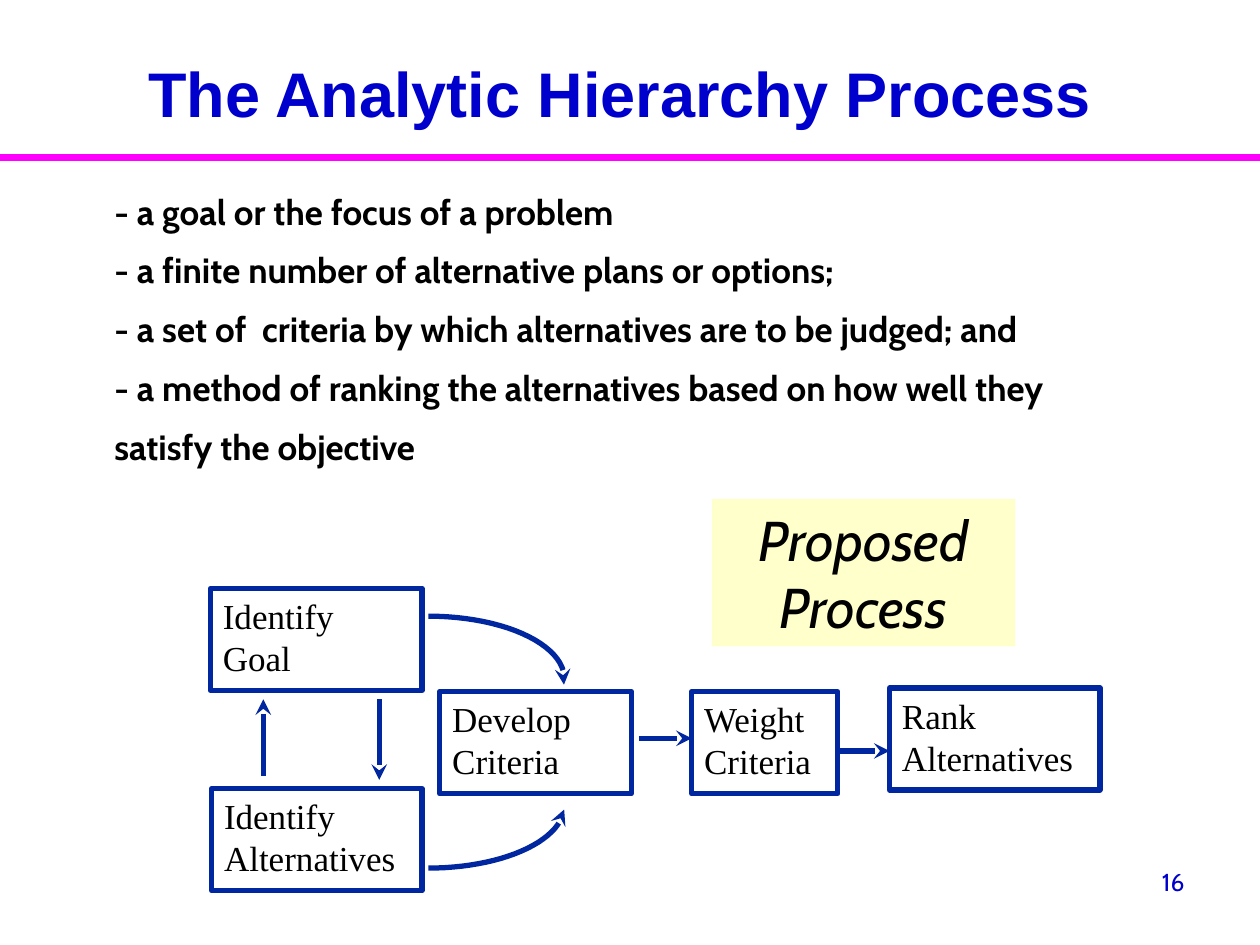
import math

from lxml import etree
from pptx import Presentation
from pptx.dml.color import RGBColor
from pptx.enum import shapes, text
from pptx.oxml.ns import qn
from pptx.util import Inches, Pt

BLUE = RGBColor(0x00, 0x00, 0xCC)
NAVY = RGBColor(0x00, 0x27, 0x9F)
MAGENTA = RGBColor(0xFF, 0x00, 0xFF)
CREAM = RGBColor(0xFF, 0xFF, 0xCC)
BLACK = RGBColor(0x00, 0x00, 0x00)

# Content
TITLE = "The Analytic Hierarchy Process"
ELEMENTS = [
    "- a goal or the focus of a problem",
    "- a finite number of alternative plans or options;",
    "- a set of  criteria by which alternatives are to be judged; and",
    "- a method of ranking the alternatives based on how well they satisfy the objective",
]
CALLOUT = "Proposed Process"
PAGE = "16"

# Process steps: lines, left, top, width
STEP_HEIGHT = 0.81
STEPS = [
    (["Identify", "Goal"], 1.67, 4.67, 1.68),
    (["Identify", "Alternatives"], 1.68, 6.26, 1.67),
    (["Develop", "Criteria"], 3.49, 5.49, 1.52),
    (["Weight", "Criteria"], 5.49, 5.49, 1.16),
    (["Rank", "Alternatives"], 7.06, 5.46, 1.67),
]
# Straight arrows: start x, start y, end x, end y
ARROWS = [
    (2.09, 6.16, 2.09, 5.55),
    (3.01, 5.55, 3.01, 6.19),
    (5.07, 5.86, 5.49, 5.86),
    (6.65, 5.96, 7.06, 5.96),
]
# Curved arrows: ellipse centre x, y, radius x, y, start and end angle in degrees
CURVES = [
    (3.4, 5.39, 1.08, 0.5, -90, 5),
    (3.4, 6.39, 1.08, 0.5, 90, 4),
]


def write(shape, lines, font, size, color, bold=False, italic=False,
          align=text.PP_ALIGN.LEFT, anchor=text.MSO_ANCHOR.TOP):
    frame = shape.text_frame
    frame.word_wrap = True
    frame.vertical_anchor = anchor
    frame.text = "\n".join(lines)
    for paragraph in frame.paragraphs:
        paragraph.alignment = align
        paragraph.font.name = font
        paragraph.font.size = Pt(size)
        paragraph.font.bold = bold
        paragraph.font.italic = italic
        paragraph.font.color.rgb = color
    return frame


def add_text(slide, box, *args, **style):
    return write(slide.shapes.add_textbox(*map(Inches, box)), *args, **style)


def add_box(slide, box):
    rectangle = slide.shapes.add_shape(shapes.MSO_SHAPE.RECTANGLE, *map(Inches, box))
    rectangle.shadow.inherit = False
    return rectangle


def draw_line(shape, color, width, arrow=False):
    shape.line.color.rgb = color
    shape.line.width = Pt(width)
    if arrow:
        etree.SubElement(shape.line._get_or_add_ln(), qn("a:tailEnd"), type="stealth")


def add_line(slide, ends, color, width, arrow=False):
    line = slide.shapes.add_connector(shapes.MSO_CONNECTOR.STRAIGHT, *map(Inches, ends))
    draw_line(line, color, width, arrow)
    etree.SubElement(line._element.spPr, qn("a:effectLst"))


def add_curve(slide, cx, cy, rx, ry, start, end, pieces=24):
    points = []
    for i in range(pieces + 1):
        angle = math.radians(start + (end - start) * i / pieces)
        points.append((Inches(cx + rx * math.cos(angle)), Inches(cy + ry * math.sin(angle))))
    builder = slide.shapes.build_freeform(*points[0])
    builder.add_line_segments(points[1:], close=False)
    curve = builder.convert_to_shape()
    curve.shadow.inherit = False
    curve.fill.background()
    draw_line(curve, NAVY, 3, arrow=True)


def main():
    deck = Presentation()
    deck.slide_width, deck.slide_height = Inches(10), Inches(7.5)
    slide = deck.slides.add_slide(deck.slide_layouts[6])

    # Heading, rule and page number
    add_line(slide, (0, 1.25, 10, 1.25), MAGENTA, 4)
    add_text(slide, (0.67, 0.25, 8.5, 0.83), [TITLE], "Arial", 36, BLUE, bold=True,
             align=text.PP_ALIGN.CENTER, anchor=text.MSO_ANCHOR.BOTTOM)
    add_text(slide, (7.17, 6.83, 2.33, 0.52), [PAGE], "Cabin", 14, BLUE,
             align=text.PP_ALIGN.RIGHT)

    # Elements of the method
    elements = add_text(slide, (0.81, 1.46, 8.23, 2.84), ELEMENTS, "Cabin", 20, BLACK, bold=True)
    for paragraph in elements.paragraphs[1:]:
        paragraph.line_spacing = 1.4

    # Process diagram
    for lines, left, top, width in STEPS:
        step = add_box(slide, (left, top, width, STEP_HEIGHT))
        step.fill.background()
        draw_line(step, NAVY, 3)
        write(step, lines, "Times New Roman", 20, BLACK)
    for ends in ARROWS:
        add_line(slide, ends, NAVY, 3, arrow=True)
    for curve in CURVES:
        add_curve(slide, *curve)

    # Callout
    callout = add_box(slide, (5.65, 3.96, 2.41, 1.17))
    callout.fill.solid()
    callout.fill.fore_color.rgb = CREAM
    callout.line.fill.background()
    write(callout, [CALLOUT], "Cabin", 32, BLACK, italic=True, align=text.PP_ALIGN.CENTER)

    deck.save("out.pptx")


if __name__ == "__main__":
    main()
